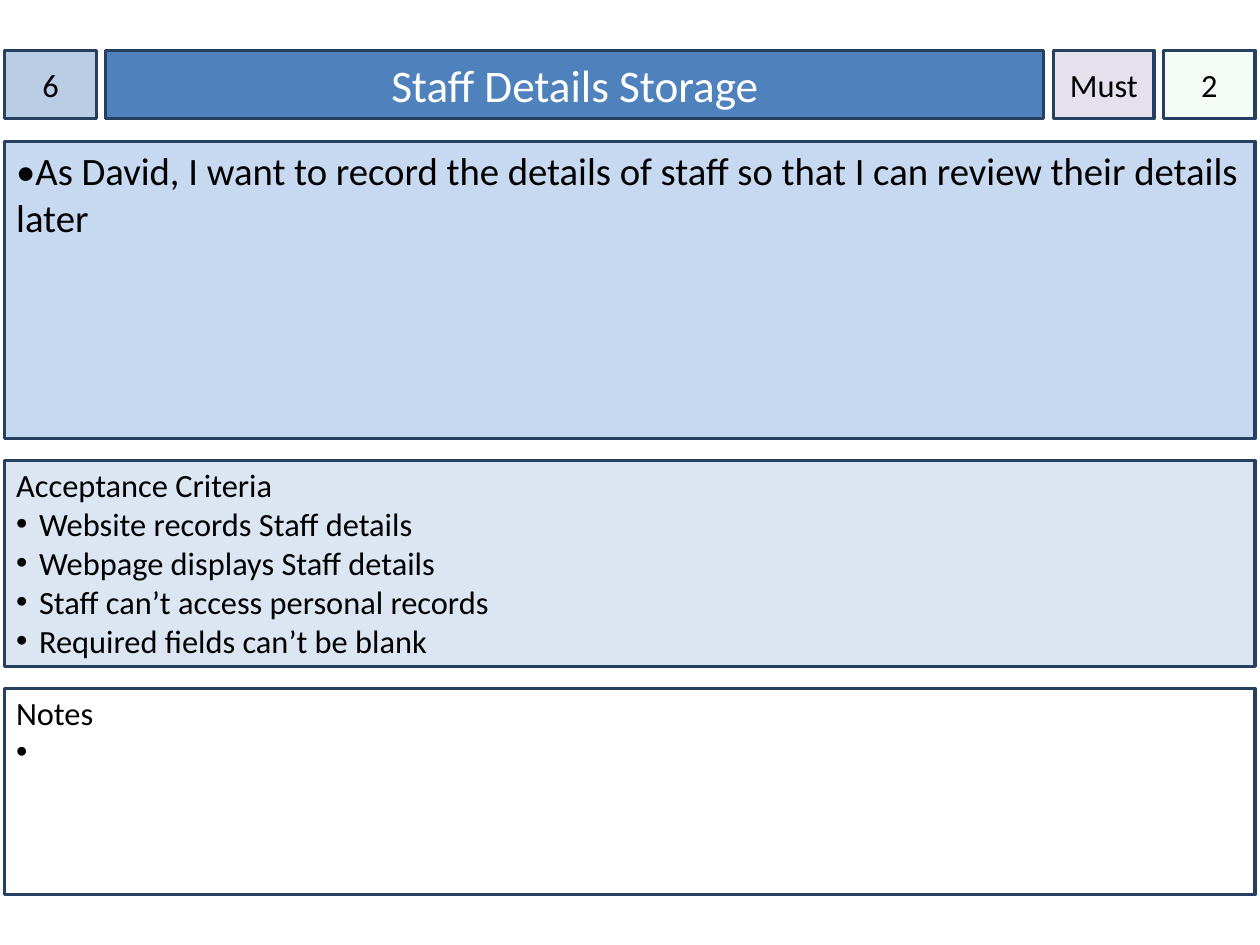
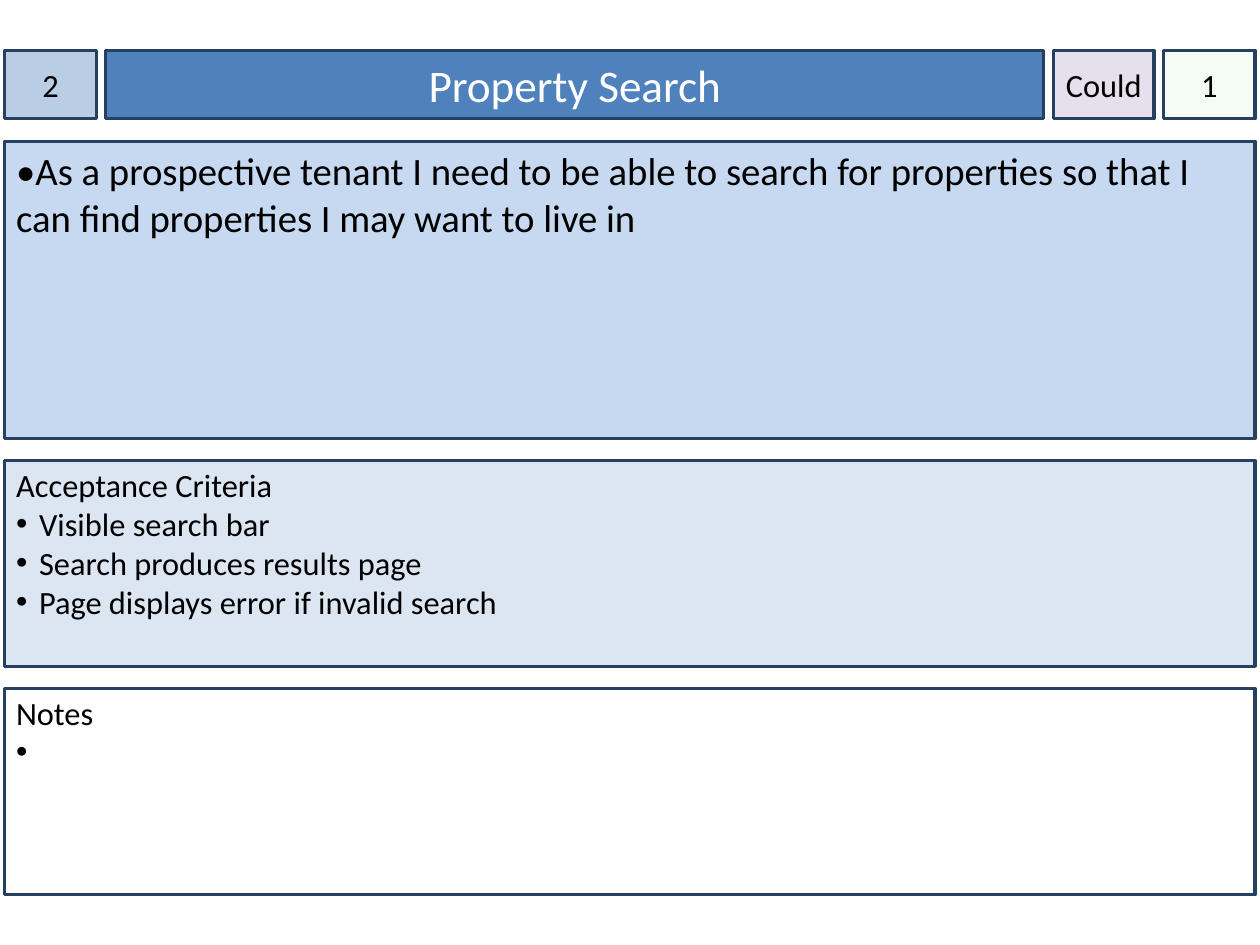
from dataclasses import dataclass

from lxml import etree
from pptx import Presentation
from pptx.dml.color import RGBColor
from pptx.enum import shapes, text
from pptx.oxml.ns import qn
from pptx.util import Pt

STORIES = [
    dict(
        number="6", title="Staff Details Storage", priority="Must", points="2",
        story="•As David, I want to record the details of staff so that I can "
              "review their details later",
        criteria=["Website records Staff details", "Webpage displays Staff details",
                  "Staff can’t access personal records",
                  "Required fields can’t be blank"],
    ),
    dict(
        number="2", title="Property Search", priority="Could", points="1",
        story="•As a prospective tenant I need to be able to search for properties "
              "so that I can find properties I may want to live in",
        criteria=["Visible search bar", "Search produces results page",
                  "Page displays error if invalid search"],
    ),
]


@dataclass(frozen=True)
class Theme:
    font: str = "Calibri"
    bullet_font: str = "Arial"
    title_size: float = 28.5
    story_size: float = 24.4
    text_size: float = 20.4
    ink: str = "000000"
    title_ink: str = "FFFFFF"
    border: str = "254061"
    border_width: float = 2
    number: str = "B9CDE5"
    title: str = "4F81BD"
    priority: str = "E6E0EC"
    points: str = "CCF0CD"
    points_alpha: int = 20
    story: str = "C6D9F1"
    criteria: str = "DCE6F2"
    notes: str = "FFFFFF"


T = Theme()

SLIDE_W, SLIDE_H = 793.7, 595.28
LEFT, TOP, WIDTH = 3, 31.6, 787.6
COLUMN_GAP, ROW_GAP = 6, 14.1
HEADER_H = 43.2
COLUMNS = dict(number=57.6, title=591, priority=63.4, points=57.6)
ROWS = dict(story=187.2, criteria=129.6, notes=129.6)
INDENT = 14.4
BADGE_INSETS = (0, 3.6, 0, 3.6)
STORY_INSETS = (7.2, 3.6, 7.2, 3.6)
LIST_INSETS = (7.2, 2.9, 7.2, 3.6)


def card_places():
    """Map each part of a card to its (left, top, width, height)."""
    places, x, y = {}, LEFT, TOP
    for name, w in COLUMNS.items():
        places[name] = (x, y, w, HEADER_H)
        x += w + COLUMN_GAP
    y += HEADER_H + ROW_GAP
    for name, h in ROWS.items():
        places[name] = (LEFT, y, WIDTH, h)
        y += h + ROW_GAP
    return places


PLACES = card_places()


def set_bullet(p, bulleted):
    """Give p a hanging bullet, or clear the one it inherits."""
    indent = INDENT if bulleted else 0
    pPr = p._p.get_or_add_pPr()
    pPr.set("marL", str(Pt(indent)))
    pPr.set("indent", str(-Pt(indent)))
    if bulleted:
        etree.SubElement(pPr, qn("a:buFont"), typeface=T.bullet_font)
        etree.SubElement(pPr, qn("a:buChar"), char="•")
    else:
        etree.SubElement(pPr, qn("a:buNone"))


def write(sp, *lines, size=T.text_size, color=T.ink, align=text.PP_ALIGN.LEFT,
          anchor=text.MSO_ANCHOR.TOP, insets=LIST_INSETS, wrap=True):
    """Fill sp with one paragraph a line; those after the first are bulleted."""
    tf = sp.text_frame
    tf.word_wrap, tf.auto_size = wrap, text.MSO_AUTO_SIZE.NONE
    tf.vertical_anchor = anchor
    (tf.margin_left, tf.margin_top,
     tf.margin_right, tf.margin_bottom) = map(Pt, insets)
    for i, line in enumerate(lines):
        p = tf.add_paragraph() if i else tf.paragraphs[0]
        set_bullet(p, i > 0)
        p.alignment, p.space_before = align, Pt(0)
        r = p.add_run()
        r.text = line
        r.font.name, r.font.size, r.font.bold = T.font, Pt(size), False
        r.font.color.rgb = RGBColor.from_string(color)


def panel(slide, name, sp=None):
    """Place and colour a part of the card, a new rectangle unless sp is given."""
    place = [Pt(v) for v in PLACES[name]]
    if sp is None:
        sp = slide.shapes.add_shape(shapes.MSO_SHAPE.RECTANGLE, *place)
        sp.shadow.inherit = False
    else:
        sp.left, sp.top, sp.width, sp.height = place
    sp.fill.solid()
    sp.fill.fore_color.rgb = RGBColor.from_string(getattr(T, name))
    sp.line.color.rgb = RGBColor.from_string(T.border)
    sp.line.width = Pt(T.border_width)
    return sp


def set_alpha(sp, percent):
    color = sp._element.spPr.find(qn("a:solidFill")).find(qn("a:srgbClr"))
    etree.SubElement(color, qn("a:alpha"), val=str(percent * 1000))


def add_card(prs, card):
    slide = prs.slides.add_slide(prs.slide_layouts.get_by_name("Two Content"))
    story, criteria = (slide.placeholders[i] for i in (1, 2))
    centred = dict(align=text.PP_ALIGN.CENTER, anchor=text.MSO_ANCHOR.MIDDLE)

    write(panel(slide, "title", slide.shapes.title), card["title"],
          size=T.title_size, color=T.title_ink, insets=STORY_INSETS, **centred)
    for name in ("number", "priority", "points"):
        badge = panel(slide, name)
        write(badge, card[name], insets=BADGE_INSETS, wrap=name != "priority",
              **centred)
        if name == "points":
            set_alpha(badge, T.points_alpha)

    write(panel(slide, "story", story), card["story"], size=T.story_size,
          insets=STORY_INSETS)
    write(panel(slide, "criteria", criteria), "Acceptance Criteria",
          *card["criteria"])
    write(panel(slide, "notes"), "Notes", " ")


def main():
    prs = Presentation()
    prs.slide_width, prs.slide_height = Pt(SLIDE_W), Pt(SLIDE_H)
    prs.element.sldSz.attrib.pop("type", None)
    for card in STORIES:
        add_card(prs, card)
    prs.save("out.pptx")


if __name__ == "__main__":
    main()
